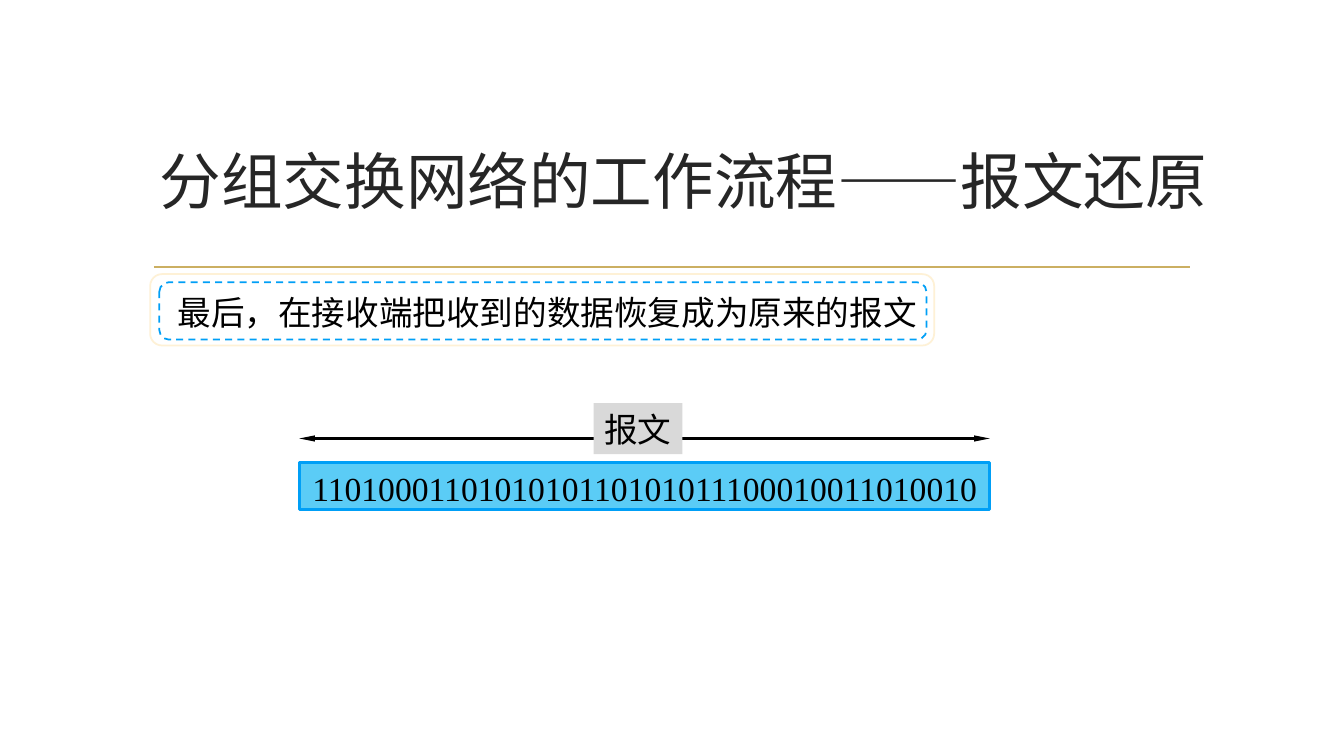
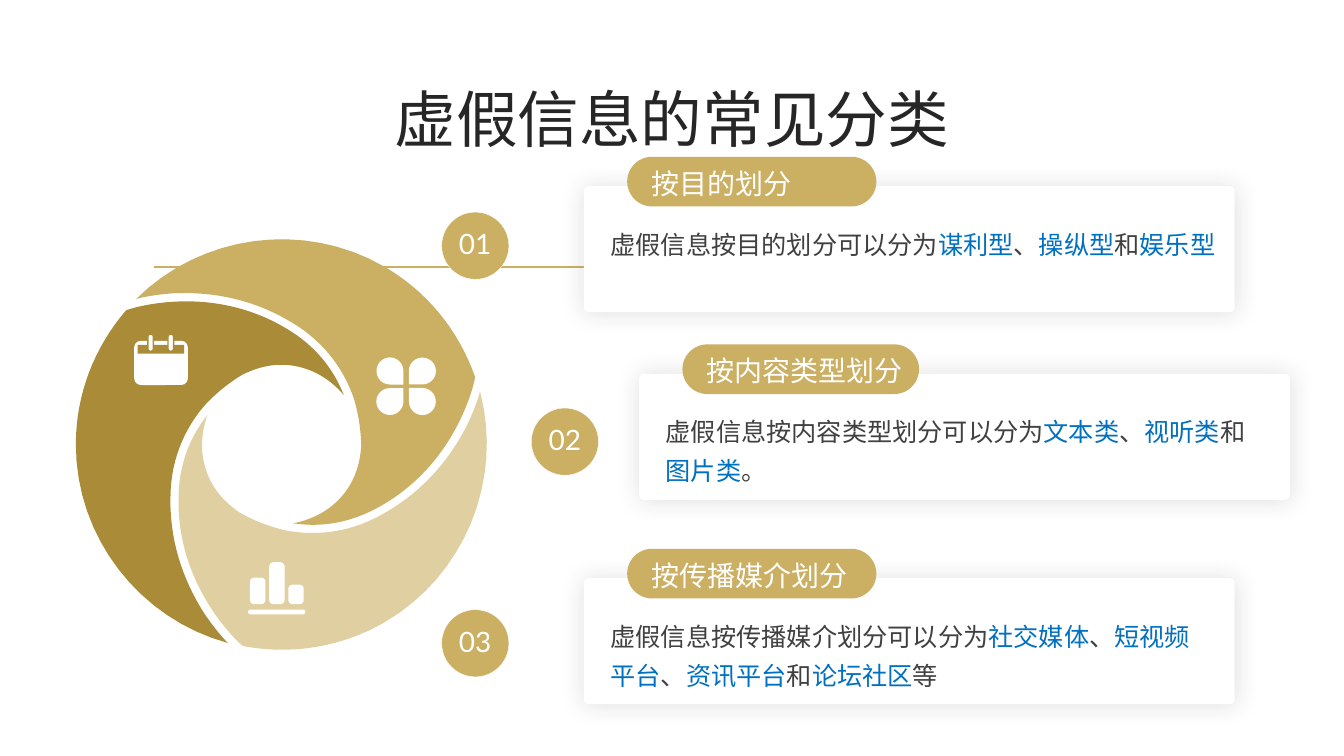
import math

from lxml import etree
from pptx import Presentation
from pptx.dml.color import RGBColor
from pptx.enum import dml, shapes, text
from pptx.oxml import ns
from pptx.util import Pt

GOLD = RGBColor(0xCB, 0xAF, 0x62)
DARK_GOLD = RGBColor(0xAA, 0x8B, 0x38)
PALE_GOLD = RGBColor(0xE0, 0xCF, 0xA1)
CREAM = RGBColor(0xFE, 0xF1, 0xD6)
WHITE = RGBColor(0xFF, 0xFF, 0xFF)
BLACK = RGBColor(0x00, 0x00, 0x00)
GREY = RGBColor(0xD9, 0xD9, 0xD9)
TITLE_INK = RGBColor(0x26, 0x26, 0x26)
BODY_INK = RGBColor(0x40, 0x40, 0x40)
KEYWORD_BLUE = RGBColor(0x00, 0x70, 0xC0)
SKY = RGBColor(0x5B, 0xCC, 0xF6)
BRIGHT_BLUE = RGBColor(0x00, 0x9F, 0xF6)

SANS = "Noto Sans CJK SC"
SERIF = "Times New Roman"
NUMERAL = "Lato"

RECT = shapes.MSO_SHAPE.RECTANGLE
ROUND = shapes.MSO_SHAPE.ROUNDED_RECTANGLE
OVAL = shapes.MSO_SHAPE.OVAL
TEARDROP = shapes.MSO_SHAPE.TEAR
LEFT = text.PP_ALIGN.LEFT
CENTER = text.PP_ALIGN.CENTER
TOP = text.MSO_ANCHOR.TOP
MIDDLE = text.MSO_ANCHOR.MIDDLE

WHEEL_CENTER = (201, 317.5)
BLADE_START = (44.6, -35.3)
# Cubic curves of one blade, relative to the wheel centre
BLADE_CURVES = [
    ((36.7, -55.4), (23, -71.3), (3.6, -82.8)),
    ((-18, -95.8), (-42.5, -102.2), (-67.7, -102.2)),
    ((-90.7, -102.2), (-107.3, -97.2), (-110.9, -95.8)),
    ((-133.9, -69.1), (-146.8, -35.3), (-146.8, 0)),
    ((-146.8, 66.2), (-101.5, 124.6), (-38.2, 141.8)),
    ((-43.2, 136.8), (-49, 129.6), (-55.4, 120.2)),
    ((-66.2, 103), (-79.9, 74.9), (-79.2, 38.2)),
    ((-79.2, 6.5), (-65.5, -15.8), (-54, -28.8)),
    ((-41, -42.5), (-28.8, -49), (-28.1, -49.7)),
    ((-19.4, -54), (-10.1, -56.9), (0, -56.9)),
    ((18, -56.9), (33.8, -48.2), BLADE_START),
]
CURVE_STEPS = 16

CARD_WIDTH, CARD_HEIGHT = 465, 90
# left, top, tab width, text width, heading, runs (plain and keyword in turn)
CARDS = [
    (417, 133, 178, 440, "按目的划分",
     ["虚假信息按目的划分可以分为", "谋利型", "、", "操纵型", "和", "娱乐型"]),
    (456.5, 267, 169, 427, "按内容类型划分",
     ["虚假信息按内容类型划分可以分为", "文本类", "、", "视听类", "和",
      "图片类", "。"]),
    (417, 413, 178, 427, "按传播媒介划分",
     ["虚假信息按传播媒介划分可以分为", "社交媒体", "、", "短视频平台", "、",
      "资讯平台", "和", "论坛社区", "等"]),
]
NUMBERS = [("01", 315.5, 151.5), ("02", 379.5, 291.5), ("03", 315.5, 435.5)]


def add_xml(parent, tag, **attributes):
    return etree.SubElement(parent, ns.qn(tag), attributes)


def paint(shape, fill=None, line=None, width=1.25):
    shape.shadow.inherit = False
    if fill is None:
        shape.fill.background()
    else:
        shape.fill.solid()
        shape.fill.fore_color.rgb = fill
    if line is None:
        shape.line.fill.background()
    else:
        shape.line.color.rgb = line
        shape.line.width = Pt(width)


def add_box(slide, kind, left, top, width, height, fill=None, line=None,
            line_width=1.25, corner=None):
    shape = slide.shapes.add_shape(kind, Pt(left), Pt(top), Pt(width), Pt(height))
    paint(shape, fill, line, line_width)
    if corner is not None:
        shape.adjustments[0] = corner
    return shape


def format_run(run, size, color, font):
    run.font.size = Pt(size)
    run.font.color.rgb = color
    run.font.name = font
    add_xml(run.font._element, "a:ea", typeface=font)


def set_frame(frame, margins, anchor, wrap):
    """Margins run left, top, right, bottom."""
    frame.margin_left, frame.margin_top, frame.margin_right, frame.margin_bottom = map(Pt, margins)
    frame.vertical_anchor = anchor
    frame.word_wrap = wrap


def write(shape, words, size, color, font=SANS, align=CENTER,
          margins=(0, 0, 0, 0), wrap=False, spacing=None):
    frame = shape.text_frame
    set_frame(frame, margins, MIDDLE, wrap)
    frame.text = words
    paragraph = frame.paragraphs[0]
    paragraph.alignment = align
    if spacing:
        paragraph.line_spacing = spacing
    format_run(paragraph.runs[0], size, color, font)


def add_line(slide, x1, x2, y, color, width):
    connector = slide.shapes.add_connector(
        shapes.MSO_CONNECTOR.STRAIGHT, Pt(x1), Pt(y), Pt(x2), Pt(y))
    connector.line.color.rgb = color
    connector.line.width = Pt(width)
    add_xml(connector._element.spPr, "a:effectLst")
    return connector


def add_titled_slide(presentation, title, top, width):
    slide = presentation.slides.add_slide(presentation.slide_layouts[6])
    add_line(slide, 110, 850, 190.8, GOLD, 1.25)
    box = slide.shapes.add_textbox(Pt(102), Pt(top), Pt(width), Pt(103))
    write(box, title, 44, TITLE_INK, margins=(7.2, 3.6, 7.2, 3.6), wrap=True)
    return slide


def add_statement(slide, words):
    add_box(slide, ROUND, 107.3, 195.8, 560, 51, WHITE, CREAM)
    frame = add_box(slide, ROUND, 113.8, 201.6, 548, 41, line=BRIGHT_BLUE)
    frame.line.dash_style = dml.MSO_LINE.DASH
    write(frame, words, 24, BLACK, align=LEFT, margins=(11, 2, 0, 0))


def add_message(slide, label, bits):
    left, width = 213.8, 493.2
    arrow = add_line(slide, left, left + width, 313.2, BLACK, 2.25)
    for end in ("a:headEnd", "a:tailEnd"):
        add_xml(arrow.line._get_or_add_ln(), end, type="triangle", w="sm", len="lg")
    tag = add_box(slide, RECT, 424, 288, 63.4, 36.4, GREY)
    write(tag, label, 24, BLACK)
    bar = add_box(slide, RECT, left, 330.5, width, 33.8, SKY, BRIGHT_BLUE, 2.25)
    write(bar, bits, 24, BLACK, SERIF, margins=(0, 2, 0, 0))


def cubic_point(p0, p1, p2, p3, t):
    weights = ((1 - t) ** 3, 3 * t * (1 - t) ** 2, 3 * t * t * (1 - t), t ** 3)
    return tuple(sum(w * p[axis] for w, p in zip(weights, (p0, p1, p2, p3)))
                 for axis in (0, 1))


def blade_outline():
    points = [BLADE_START]
    for curve in BLADE_CURVES:
        start = points[-1]
        points += [cubic_point(start, *curve, step / CURVE_STEPS)
                   for step in range(1, CURVE_STEPS + 1)]
    return points


def add_blade(slide, degrees, color):
    """Draw the blade turned clockwise about the wheel centre."""
    cos, sin = math.cos(math.radians(degrees)), math.sin(math.radians(degrees))
    points = [(Pt(WHEEL_CENTER[0] + x * cos - y * sin),
               Pt(WHEEL_CENTER[1] + x * sin + y * cos))
              for x, y in blade_outline()]
    builder = slide.shapes.build_freeform(*points[0])
    builder.add_line_segments(points[1:], close=True)
    paint(builder.convert_to_shape(), color)


def add_calendar_icon(slide):
    add_box(slide, ROUND, 95.8, 243.4, 38.4, 31.6, WHITE, corner=0.15)
    add_box(slide, RECT, 98.4, 246.4, 33.2, 6.2, DARK_GOLD)
    for left in (105.6, 120):
        add_box(slide, ROUND, left, 238.6, 4, 12.4, WHITE, DARK_GOLD, 1, 0.5)


def add_bars_icon(slide):
    add_box(slide, ROUND, 177.2, 435.4, 41, 3.4, WHITE, corner=0.5)
    for index, height in enumerate((19, 30, 14)):
        add_box(slide, ROUND, 178.6 + 13.7 * index, 431.6 - height, 11, height,
                WHITE, corner=0.27)


def add_clover_icon(slide):
    for left, top, turn in ((268.8, 277.2, 0), (268.8, 255.4, 90),
                            (292, 255.4, 180), (292, 277.2, 270)):
        petal = add_box(slide, TEARDROP, left, top, 19.4, 19.2, WHITE)
        petal.rotation = turn


def add_number(slide, words, left, top):
    disc = add_box(slide, OVAL, left, top, 48, 48, GOLD, WHITE, 0.25)
    write(disc, words, 20, WHITE, NUMERAL, spacing=0.9)


def add_card(slide, left, top, tab_width, text_width, heading, pieces):
    card = add_box(slide, ROUND, left, top, CARD_WIDTH, CARD_HEIGHT, WHITE, corner=0.04)
    effects = card._element.spPr.find(ns.qn("a:effectLst"))
    glow = add_xml(effects, "a:outerShdw", blurRad=str(Pt(17)), dist="0",
                   algn="ctr", rotWithShape="0")
    tint = add_xml(glow, "a:srgbClr", val="212121")
    add_xml(tint, "a:alpha", val="15000")

    right = CARD_WIDTH - 20 - text_width
    set_frame(card.text_frame, (18, 23, right, 0), TOP, True)
    paragraph = card.text_frame.paragraphs[0]
    paragraph.alignment = LEFT
    paragraph.line_spacing = 1.3
    for index, piece in enumerate(pieces):
        run = paragraph.add_run()
        run.text = piece
        format_run(run, 18, KEYWORD_BLUE if index % 2 else BODY_INK, SANS)

    tab = add_box(slide, ROUND, left + 31, top - 21, tab_width, 35.5, GOLD, corner=0.5)
    write(tab, heading, 20, WHITE, align=LEFT, margins=(12, 2, 0, 0))


def build_message_slide(presentation):
    slide = add_titled_slide(presentation, "分组交换网络的工作流程——报文还原", 77, 773)
    add_statement(slide, "最后，在接收端把收到的数据恢复成为原来的报文")
    add_message(slide, "报文", "1101000110101010110101011100010011010010")


def build_category_slide(presentation):
    slide = add_titled_slide(presentation, "虚假信息的常见分类", 33, 756)
    for index, color in enumerate((DARK_GOLD, GOLD, PALE_GOLD)):
        add_blade(slide, 120 * index, color)
    add_calendar_icon(slide)
    add_bars_icon(slide)
    add_clover_icon(slide)
    for number in NUMBERS:
        add_number(slide, *number)
    for card in CARDS:
        add_card(slide, *card)


def main():
    presentation = Presentation()
    presentation.slide_width = Pt(960)
    presentation.slide_height = Pt(540)
    build_message_slide(presentation)
    build_category_slide(presentation)
    presentation.save("out.pptx")


if __name__ == "__main__":
    main()
